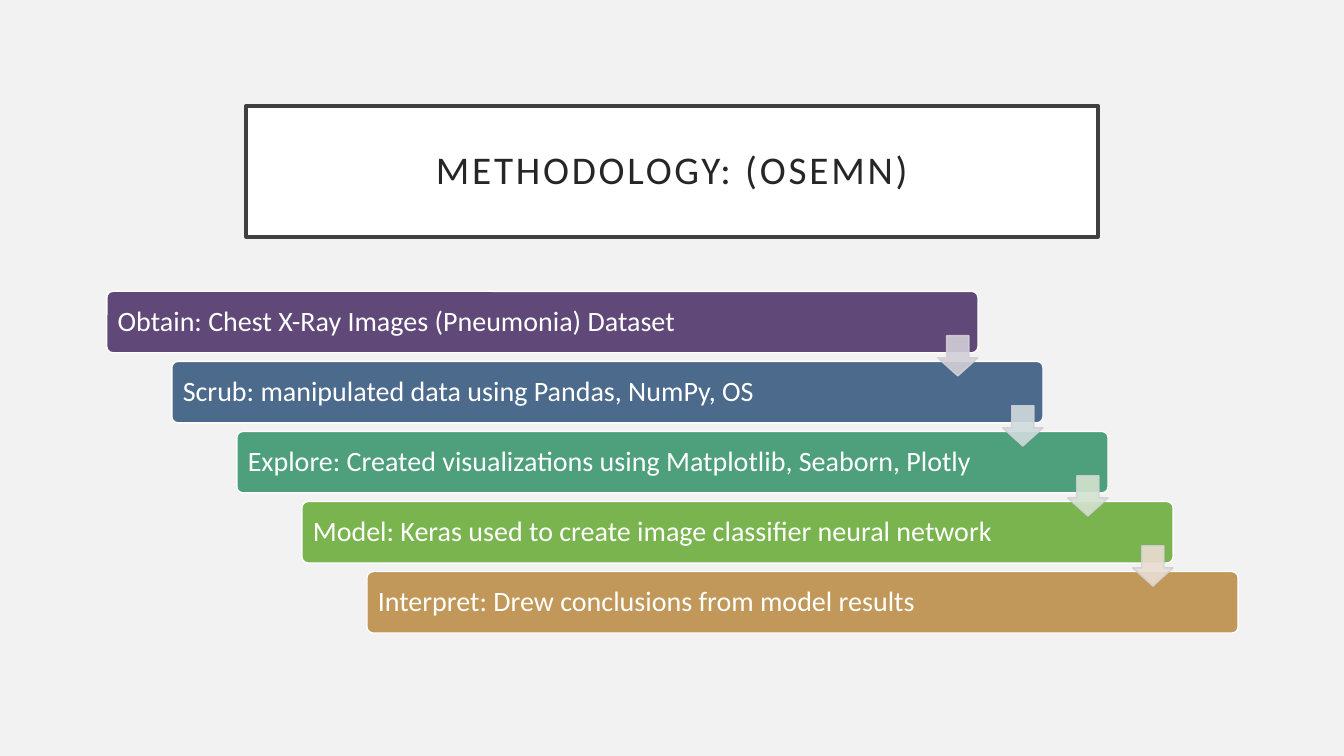
from dataclasses import dataclass

from lxml.etree import SubElement
from pptx import Presentation
from pptx.dml.color import RGBColor
from pptx.enum.shapes import MSO_SHAPE
from pptx.enum.text import MSO_ANCHOR, PP_ALIGN
from pptx.oxml.ns import qn
from pptx.util import Inches, Pt


@dataclass(frozen=True)
class Theme:
    font: str = "Calibri"
    background: str = "F2F2F2"
    white: str = "FFFFFF"
    title_text: str = "262626"
    title_border: str = "404040"
    arrow_border: str = "D2CFD6"
    title_size: int = 28
    step_size: int = 20


THEME = Theme()

STEPS = [
    ("Obtain: Chest X-Ray Images (Pneumonia) Dataset", "604878"),
    ("Scrub: manipulated data using Pandas, NumPy, OS", "4B6A8C"),
    ("Explore: Created visualizations using Matplotlib, Seaborn, Plotly", "4DA07B"),
    ("Model: Keras used to create image classifier neural network", "7AB44F"),
    ("Interpret: Drew conclusions from model results", "C19859"),
]
ARROW_FILLS = ["D2CFD6", "CFDBDD", "D4E3D0", "E9DDD1"]

BAR_LEFT, BAR_TOP = 1.06, 2.89
BAR_WIDTH, BAR_HEIGHT = 8.64, 0.61
STEP_RIGHT, STEP_DOWN = 0.645, 0.695
ARROW_SIZE = 0.4
ARROW_DROP = 0.44


def add_box(slide, preset, left, top, width, height, fill, border, border_width):
    box = slide.shapes.add_shape(
        preset, Inches(left), Inches(top), Inches(width), Inches(height)
    )
    box.shadow.inherit = False
    box.fill.solid()
    box.fill.fore_color.rgb = RGBColor.from_string(fill)
    box.line.color.rgb = RGBColor.from_string(border)
    box.line.width = Pt(border_width)
    return box


def write_text(box, text, size, color, align, inset):
    frame = box.text_frame
    frame.word_wrap = True
    frame.vertical_anchor = MSO_ANCHOR.MIDDLE
    frame.margin_left = frame.margin_right = Inches(inset)
    frame.margin_top = frame.margin_bottom = Inches(inset)
    paragraph = frame.paragraphs[0]
    paragraph.text = text
    paragraph.alignment = align
    paragraph.line_spacing = 0.9
    paragraph.font.name = THEME.font
    paragraph.font.size = Pt(size)
    paragraph.font.color.rgb = RGBColor.from_string(color)
    return paragraph


def add_title(slide, text):
    box = add_box(slide, MSO_SHAPE.RECTANGLE, 2.44, 1.05, 8.45, 1.3,
                  THEME.white, THEME.title_border, 2.5)
    heading = write_text(box, text, THEME.title_size, THEME.title_text,
                         PP_ALIGN.CENTER, 0.2)
    heading.runs[0].font._element.set("spc", "200")


def add_step(slide, index, text, fill):
    bar = add_box(slide, MSO_SHAPE.ROUNDED_RECTANGLE,
                  BAR_LEFT + index * STEP_RIGHT, BAR_TOP + index * STEP_DOWN,
                  BAR_WIDTH, BAR_HEIGHT, fill, THEME.white, 1)
    bar.adjustments[0] = 0.1
    write_text(bar, text, THEME.step_size, THEME.white, PP_ALIGN.LEFT, 0.09)


def add_step_arrow(slide, index, fill):
    left = BAR_LEFT + BAR_WIDTH - ARROW_SIZE + index * STEP_RIGHT
    top = BAR_TOP + ARROW_DROP + index * STEP_DOWN
    arrow = add_box(slide, MSO_SHAPE.DOWN_ARROW, left, top, ARROW_SIZE, ARROW_SIZE,
                    fill, THEME.arrow_border, 1)
    arrow.adjustments[0] = 0.55
    arrow.adjustments[1] = 0.45
    for color in arrow._element.spPr.iter(qn("a:srgbClr")):
        SubElement(color, qn("a:alpha")).set("val", "90000")


def main():
    deck = Presentation()
    deck.slide_width, deck.slide_height = Inches(13.33), Inches(7.5)
    slide = deck.slides.add_slide(deck.slide_layouts[6])
    slide.background.fill.solid()
    slide.background.fill.fore_color.rgb = RGBColor.from_string(THEME.background)

    add_title(slide, "METHODOLOGY: (OSEMN)")
    for index, (text, fill) in enumerate(STEPS):
        add_step(slide, index, text, fill)
    for index, fill in enumerate(ARROW_FILLS):
        add_step_arrow(slide, index, fill)

    deck.save("out.pptx")


if __name__ == "__main__":
    main()
